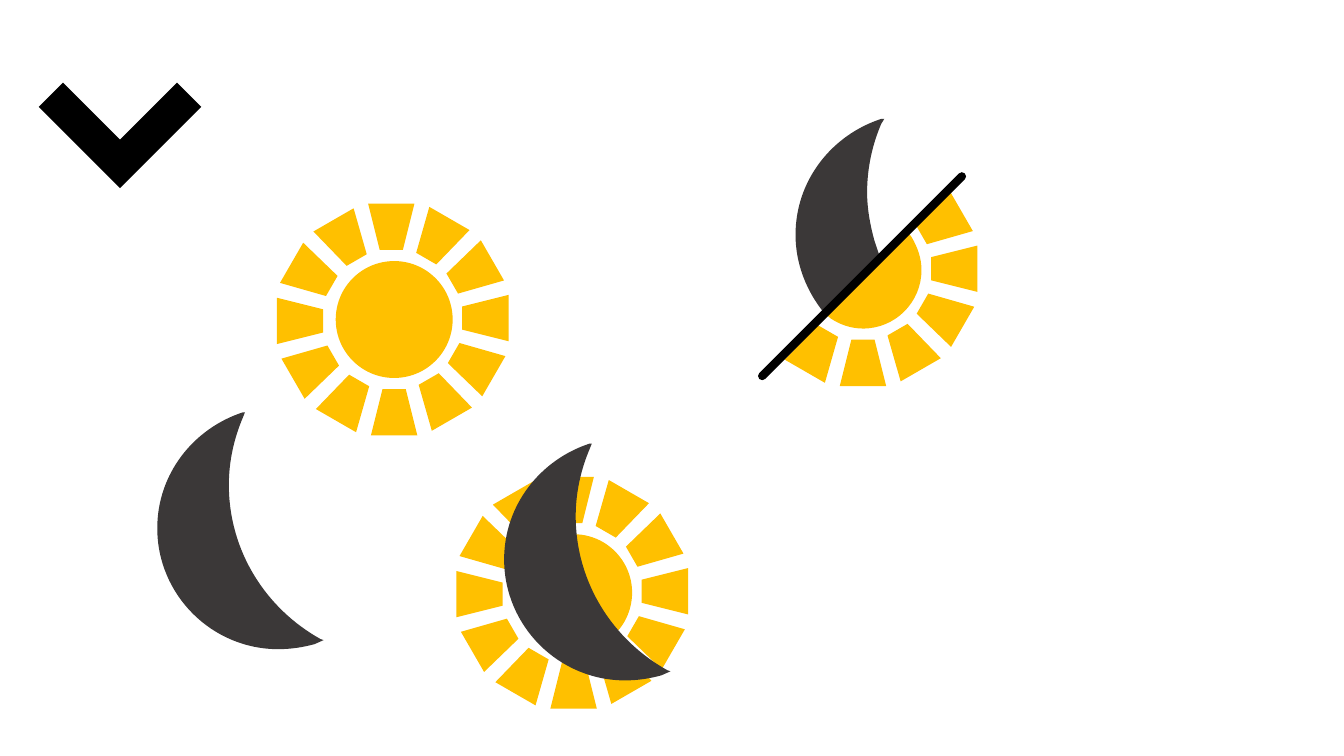
from dataclasses import dataclass
from math import cos, radians, sin

from lxml.etree import SubElement
from pptx import Presentation
from pptx.dml.color import RGBColor
from pptx.enum.shapes import MSO_CONNECTOR as Connector
from pptx.enum.shapes import MSO_SHAPE as Shape
from pptx.oxml.ns import qn
from pptx.util import Inches, Pt


@dataclass(frozen=True)
class Theme:
    sun: RGBColor = RGBColor(0xFF, 0xC0, 0x00)
    moon: RGBColor = RGBColor(0x3B, 0x38, 0x38)
    ink: RGBColor = RGBColor(0x00, 0x00, 0x00)
    divider_width: int = Pt(6)


THEME = Theme()

# Ray angles run clockwise from straight below the disc
ALL_RAYS = range(0, 360, 30)
SPLIT_RAYS = [angle for angle in ALL_RAYS if not 60 <= angle <= 210]
DAY_SUN, OVERLAP_SUN, SPLIT_SUN = (3.91, 3.17), (5.69, 5.88), (8.56, 2.68)
DIVIDER = ((7.56, 3.73), (9.54, 1.75))

DISC_SIZE = 1.16
RAY_SIZE, RAY_DISTANCE, RAY_SKEW, RAY_SHIFT = 0.46, 0.92, 0.9, 0.015
CHEVRON_AT, CHEVRON_SIZE, CHEVRON_ARM = (0.62, 0.49), 1.14, 0.34

# Outlines: a pair is a corner, three pairs are two controls and an end
NIGHT_MOON = [
    (2.43, 4.09), (2.41, 4.14),
    (2.32, 4.35, 2.27, 4.58, 2.27, 4.81), (2.27, 5.47, 2.64, 6.04, 3.18, 6.34),
    (3.21, 6.35), (3.12, 6.39),
    (3.01, 6.42, 2.89, 6.44, 2.76, 6.44), (2.1, 6.44, 1.56, 5.9, 1.56, 5.24),
    (1.56, 4.7, 1.92, 4.25, 2.41, 4.09),
]
OVERLAP_MOON_SHIFT = (3.44, 0.31)
HALF_MOON = [
    (8.77, 1.18), (8.74, 1.23),
    (8.65, 1.44, 8.6, 1.67, 8.6, 1.91), (8.6, 2.07, 8.63, 2.23, 8.67, 2.38),
    (8.73, 2.56), (8.18, 3.11), (8.17, 3.1),
    (8, 2.89, 7.89, 2.62, 7.89, 2.33), (7.89, 1.79, 8.25, 1.34, 8.74, 1.18),
]
HALF_DISC = [
    (9, 2.3), (9.04, 2.35),
    (9.1, 2.45, 9.14, 2.56, 9.14, 2.68), (9.14, 3, 8.88, 3.26, 8.56, 3.26),
    (8.44, 3.26, 8.33, 3.22, 8.24, 3.16), (8.18, 3.11),
]


def paint(shape, color):
    shape.shadow.inherit = False
    shape.fill.solid()
    shape.fill.fore_color.rgb = color
    shape.line.fill.background()
    return shape


def add_outline(shapes, outline, color, shift=(0, 0)):
    """Draw all points as corners, then merge each curve's three into a Bézier."""
    steps = [[(Inches(x + shift[0]), Inches(y + shift[1]))
              for x, y in zip(step[::2], step[1::2])] for step in outline]
    builder = shapes.build_freeform(*steps[0][0])
    builder.add_line_segments([point for step in steps[1:] for point in step], close=True)
    shape = paint(builder.convert_to_shape(), color)

    lines = iter(list(shape._element.iter(qn("a:lnTo"))))
    for step in steps[1:]:
        parts = [next(lines) for _ in step]
        if len(parts) == 3:
            curve = parts[0].makeelement(qn("a:cubicBezTo"))
            parts[0].addprevious(curve)
            for part in parts:
                curve.append(part[0])
                part.getparent().remove(part)
    return shape


def add_centred(shapes, preset, centre, size, color):
    left, top = (Inches(c - size / 2) for c in centre)
    shape = shapes.add_shape(preset, left, top, Inches(size), Inches(size))
    return paint(shape, color)


def add_rays(shapes, centre, angles):
    """Group the rays in crosses, each turned 30 degrees from the last."""
    for first in (0, 30, 60):
        cross = shapes.add_group_shape().shapes
        for angle in (a for a in angles if a % 90 == first):
            turn = radians(angle - RAY_SKEW)
            ray_centre = (centre[0] - RAY_SHIFT - RAY_DISTANCE * sin(turn),
                          centre[1] + RAY_DISTANCE * cos(turn))
            ray = add_centred(cross, Shape.TRAPEZOID, ray_centre, RAY_SIZE, THEME.sun)
            ray.rotation = angle


def add_sun(shapes, centre):
    add_centred(shapes, Shape.OVAL, centre, DISC_SIZE, THEME.sun)
    add_rays(shapes, centre, ALL_RAYS)


def add_chevron(shapes):
    size, arm = CHEVRON_SIZE, CHEVRON_ARM
    corner = [(0, 0), (size, 0), (size, size), (size - arm, size), (size - arm, arm), (0, arm)]
    add_outline(shapes, corner, THEME.ink, CHEVRON_AT).rotation = 135


def add_divider(shapes):
    ends = [Inches(c) for point in DIVIDER for c in point]
    divider = shapes.add_connector(Connector.STRAIGHT, *ends)
    divider.line.color.rgb = THEME.ink
    divider.line.width = THEME.divider_width
    properties = divider._element.spPr
    properties.find(qn("a:ln")).set("cap", "rnd")
    SubElement(properties, qn("a:effectLst"))


def main():
    deck = Presentation()
    deck.slide_width, deck.slide_height = Inches(13.33), Inches(7.5)
    shapes = deck.slides.add_slide(deck.slide_layouts[6]).shapes

    add_chevron(shapes)
    add_sun(shapes, DAY_SUN)
    add_outline(shapes, NIGHT_MOON, THEME.moon)
    add_outline(shapes, HALF_DISC, THEME.sun)
    add_rays(shapes, SPLIT_SUN, SPLIT_RAYS)
    add_outline(shapes, HALF_MOON, THEME.moon)
    add_sun(shapes, OVERLAP_SUN)
    add_outline(shapes, NIGHT_MOON, THEME.moon, OVERLAP_MOON_SHIFT)
    add_divider(shapes)

    deck.save("out.pptx")


if __name__ == "__main__":
    main()
